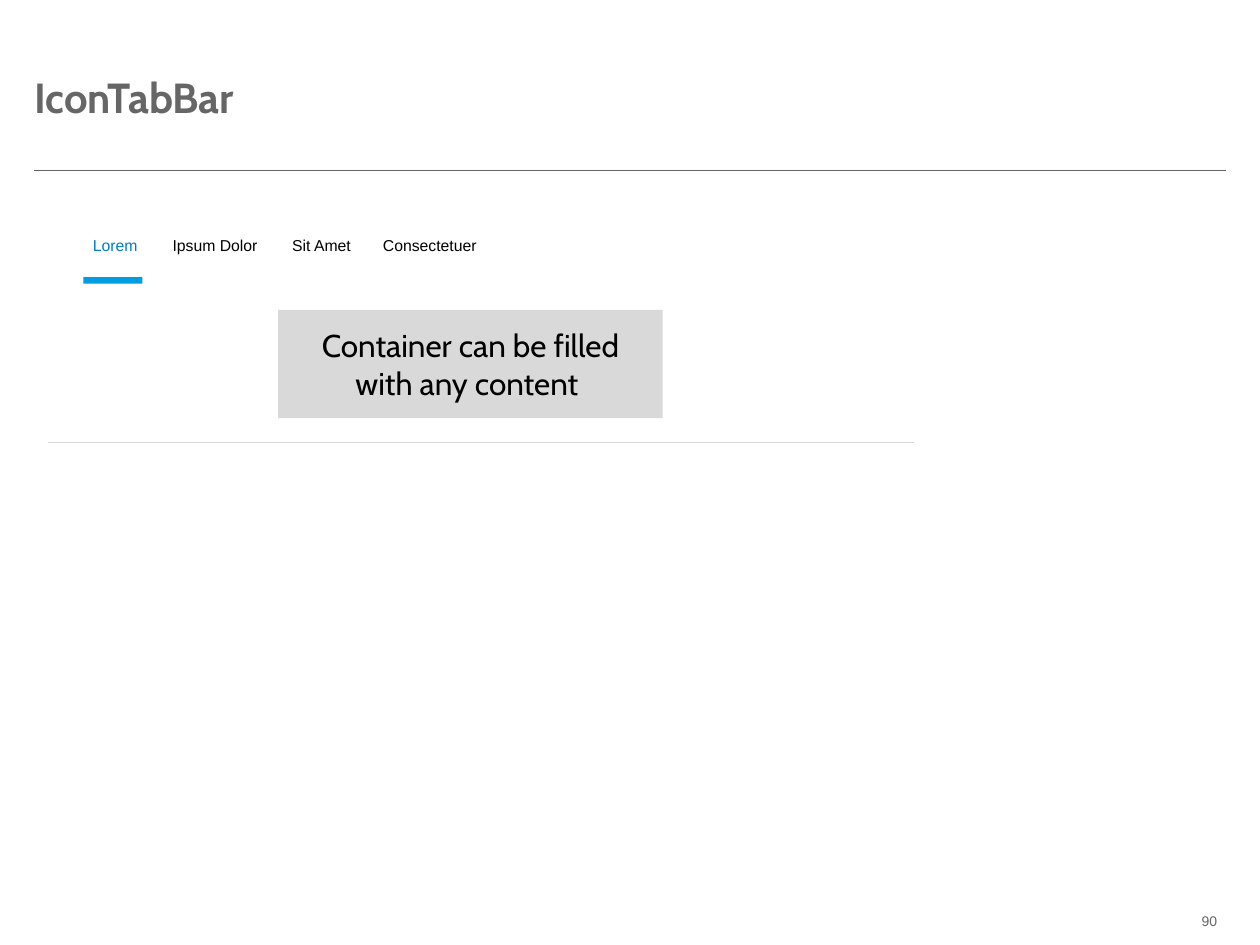
from dataclasses import dataclass
from typing import Optional

from lxml import etree
from pptx import Presentation
from pptx import util as u
from pptx.dml.color import RGBColor
from pptx.enum import shapes, text
from pptx.oxml import ns

COLORS = {
    "grey": "666666",
    "light": "D9D9D9",
    "black": "000000",
    "link": "007CC0",
    "accent": "009DE0",
}
LEFT, CENTER, RIGHT = text.PP_ALIGN.LEFT, text.PP_ALIGN.CENTER, text.PP_ALIGN.RIGHT
RECT, ROUND = shapes.MSO_SHAPE.RECTANGLE, shapes.MSO_SHAPE.ROUNDED_RECTANGLE


@dataclass
class Label:
    words: str
    size: float
    color: str = "black"
    font: str = "Arial"
    bold: bool = False
    align: text.PP_ALIGN = LEFT
    insets: tuple = (0, 0, 0, 0)
    wrap: bool = True
    anchor: text.MSO_ANCHOR = text.MSO_ANCHOR.MIDDLE


@dataclass
class Area:
    left: float
    top: float
    width: float
    height: float

    def lengths(self) -> list:
        return [u.Cm(n) for n in (self.left, self.top, self.width, self.height)]


@dataclass
class Rule:
    left: float
    right: float
    top: float
    color: str
    weight: float


def rgb(name: str) -> RGBColor:
    return RGBColor.from_string(COLORS[name])


def apply(target, values: dict) -> None:
    for name, value in values.items():
        setattr(target, name, value)


def write(box, label: Label) -> None:
    frame = box.text_frame
    sides = ("margin_left", "margin_top", "margin_right", "margin_bottom")
    apply(frame, dict(zip(sides, map(u.Cm, label.insets))))
    apply(frame, {
        "word_wrap": label.wrap,
        "auto_size": text.MSO_AUTO_SIZE.NONE,
        "vertical_anchor": label.anchor,
    })
    para = frame.paragraphs[0]
    para.alignment = label.align
    span = para.add_run()
    span.text = label.words
    apply(span.font, {"name": label.font, "size": u.Pt(label.size), "bold": label.bold})
    span.font.color.rgb = rgb(label.color)


def add_text(page, area: Area, label: Label) -> None:
    write(page.shapes.add_textbox(*area.lengths()), label)


def add_block(page, kind, area: Area, fill: Optional[str] = None,
              label: Optional[Label] = None) -> None:
    box = page.shapes.add_shape(kind, *area.lengths())
    box.shadow.inherit = False
    box.line.fill.background()
    if kind == ROUND:
        box.adjustments[0] = 0.5
    if fill:
        box.fill.solid()
        box.fill.fore_color.rgb = rgb(fill)
    else:
        box.fill.background()
    if label:
        write(box, label)


def add_rule(page, rule: Rule) -> None:
    line = page.shapes.add_connector(
        shapes.MSO_CONNECTOR.STRAIGHT,
        *map(u.Cm, (rule.left, rule.top, rule.right, rule.top)))
    line.line.color.rgb = rgb(rule.color)
    line.line.width = u.Pt(rule.weight)
    etree.SubElement(line._element.spPr, ns.qn("a:effectLst"))


def main() -> None:
    deck = Presentation()
    apply(deck, {"slide_width": u.Cm(25.4), "slide_height": u.Cm(19.05)})
    page = deck.slides.add_slide(deck.slide_layouts[5])

    title = page.shapes.title
    apply(title, dict(zip(("left", "top", "width", "height"),
                          Area(0.69, 0.89, 24.05, 2.11).lengths())))
    write(title, Label("IconTabBar", 24, "grey", "Cabin", bold=True))

    for rule in (Rule(0.69, 24.71, 3.43, "grey", 0.5),
                 Rule(0.97, 18.42, 8.92, "light", 1)):
        add_rule(page, rule)

    add_block(page, ROUND, Area(1.55, 4.65, 1.55, 0.58),
              label=Label("Lorem", 9, "link", align=CENTER, insets=(0, 0.2, 0, 0.2)))
    for words, left, width in (("Ipsum Dolor", 3.48, 1.8),
                               ("Sit Amet", 5.89, 1.3),
                               ("Consectetuer", 7.72, 2.18)):
        add_text(page, Area(left, 4.75, width, 0.38), Label(words, 9))

    add_block(page, RECT, Area(5.61, 6.25, 7.75, 2.18), "light",
              Label("Container can be filled with any content ", 18, font="Cabin",
                    align=CENTER, insets=(0.25, 0.2, 0.25, 0.2)))
    add_block(page, RECT, Area(1.68, 5.59, 1.19, 0.13), "accent")

    add_text(page, Area(24.18, 18.39, 0.56, 0.33),
             Label("90", 8, "grey", align=RIGHT, insets=(0, 0, 0.2, 0),
                   wrap=False, anchor=text.MSO_ANCHOR.TOP))
    deck.save("out.pptx")


if __name__ == "__main__":
    main()
